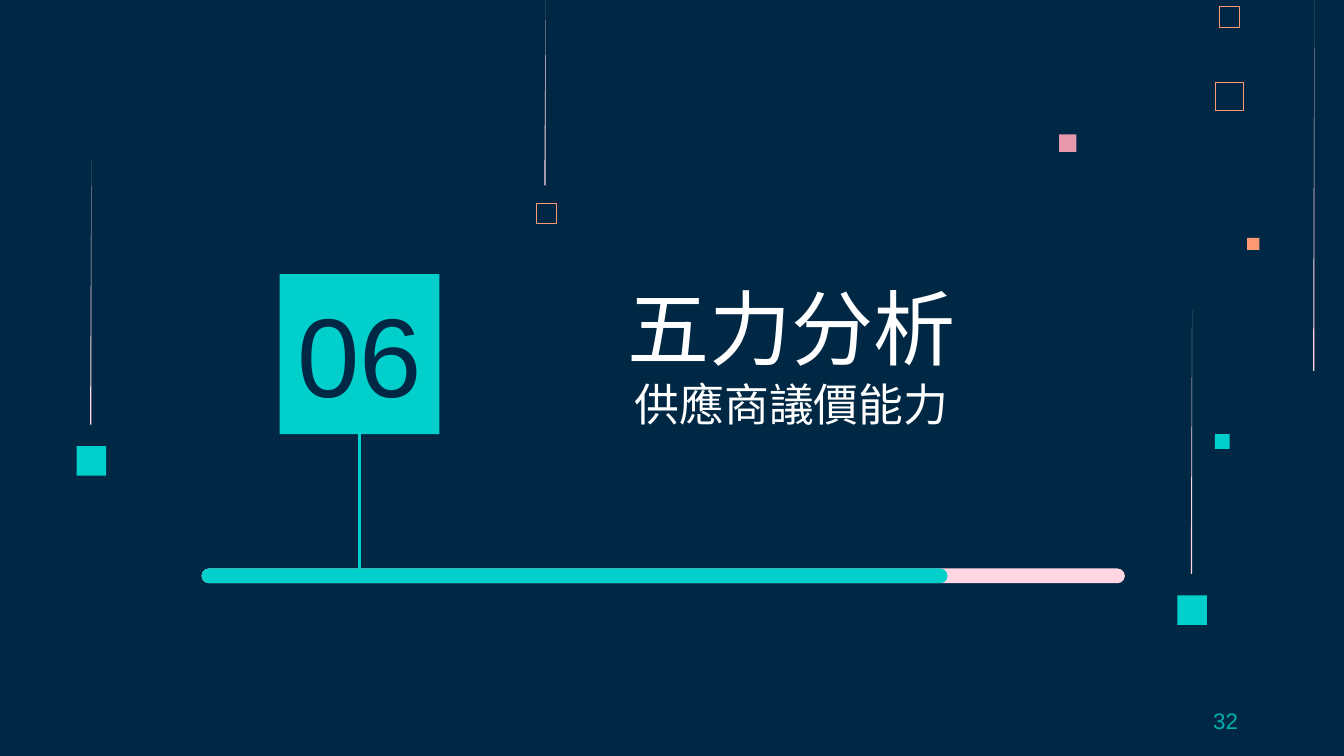
import pptx
import pptx.dml.color
import pptx.enum.shapes
import pptx.enum.text
import pptx.oxml.ns
import pptx.util
import lxml.etree

IN = pptx.util.Inches
PT = pptx.util.Pt
WIDE = 10
HIGH = WIDE * 9 / 16
NAVY, TEAL, PINK, CORAL = "002845", "00CFCC", "FFD6E1", "FF9973"
ALIGN = pptx.enum.text.PP_ALIGN
ANCHOR = pptx.enum.text.MSO_ANCHOR
KIND = pptx.enum.shapes.MSO_SHAPE


def tint(form, color):
    """Give a font, a fill or a line its colour."""
    if hasattr(form, "solid"):
        form.solid()
        form.fore_color.rgb = pptx.dml.color.RGBColor.from_string(color)
    else:
        form.color.rgb = pptx.dml.color.RGBColor.from_string(color)


def paint(shape, fill=None, line=None, width=0.32):
    shape.shadow.inherit = False
    if fill:
        tint(shape.fill, fill)
    else:
        shape.fill.background()
    if line:
        tint(shape.line, line)
        shape.line.width = PT(width)
    else:
        shape.line.fill.background()


def block(slide, left, top, wide, high, kind=KIND.RECTANGLE, **look):
    shape = slide.shapes.add_shape(
        kind, IN(left), IN(top), IN(wide), IN(high))
    paint(shape, **look)
    return shape


def streak(slide, left, top, end):
    """Draw a sliver that tapers to a point at its top."""
    path = slide.shapes.build_freeform(
        IN(left + 0.01), IN(top), scale=1.0)
    path.add_line_segments(
        [(IN(left), IN(end)), (IN(left + 0.01), IN(end))], close=True)
    paint(path.convert_to_shape(), fill=PINK)


def bar(slide, wide, color):
    shape = block(slide, 1.5, 4.23, wide, 0.11,
                  KIND.ROUNDED_RECTANGLE, fill=color)
    shape.adjustments[0] = 0.5


def place(shape, left, top, wide, high, anchor):
    shape.left, shape.top = IN(left), IN(top)
    shape.width, shape.height = IN(wide), IN(high)
    frame = shape.text_frame
    frame.word_wrap = True
    frame.auto_size = pptx.enum.text.MSO_AUTO_SIZE.NONE
    frame.vertical_anchor = anchor
    frame.margin_left = frame.margin_right = IN(0.1)
    frame.margin_top = frame.margin_bottom = IN(0.1)
    return frame.paragraphs[0]


def label(par, text, size, color, align=ALIGN.CENTER):
    par.text = text
    par.alignment = align
    par.space_before = PT(0)
    par.font.name = "Arial"
    par.font.size = PT(size)
    tint(par.font, color)


def heading(par, lines):
    """Set the lines of the heading, each in its own size."""
    par.alignment = ALIGN.CENTER
    for at, (text, size) in enumerate(lines):
        if at:
            par.add_line_break()
        run = par.add_run()
        run.text = text
        run.font.name = "Noto Sans CJK SC"
        run.font.size = PT(size)
        tint(run.font, "FFFFFF")
        east = lxml.etree.SubElement(
            run.font._element, pptx.oxml.ns.qn("a:ea"))
        east.set("typeface", "Noto Sans CJK SC")


def stem(slide, box, end):
    """Join the number box to the progress bar."""
    mid = box.left + box.width // 2
    line = slide.shapes.add_connector(
        pptx.enum.shapes.MSO_CONNECTOR.STRAIGHT,
        mid, box.top + box.height, mid, IN(end))
    line.begin_connect(box, 2)
    tint(line.line, TEAL)
    line.line.width = PT(1.5)
    lxml.etree.SubElement(
        line._element.spPr, pptx.oxml.ns.qn("a:effectLst"))


def decor(slide):
    # Solid squares
    for left, top, side, color in (
            (7.88, 1, 0.13, "E898AC"), (9.04, 3.23, 0.11, TEAL),
            (9.28, 1.77, 0.09, CORAL), (8.76, 4.43, 0.22, TEAL),
            (0.57, 3.32, 0.22, TEAL)):
        block(slide, left, top, side, side, fill=color)
    # Outlined squares
    for left, top, side, width in (
            (9.04, 0.61, 0.21, 0.45), (9.07, 0.05, 0.15, 0.32),
            (3.99, 1.51, 0.15, 0.32)):
        block(slide, left, top, side, side, line=CORAL, width=width)
    # Falling streaks
    for left, top, end in ((4.05, 0, 1.38), (9.77, 0, 2.76),
                           (8.86, 2.31, 4.27), (0.67, 1.19, 3.16)):
        streak(slide, left, top, end)


def main():
    deck = pptx.Presentation()
    deck.slide_width, deck.slide_height = IN(WIDE), IN(HIGH)
    slide = deck.slides.add_slide(deck.slide_layouts[0])
    tint(slide.background.fill, NAVY)
    decor(slide)

    # Progress bar and number box
    box = block(slide, 2.08, 2.04, 1.19, 1.19, fill=TEAL)
    bar(slide, 6.87, PINK)
    bar(slide, 5.55, TEAL)
    stem(slide, box, 4.3)

    # Heading and number, kept in front of the box
    title, number = slide.placeholders
    for shape in (title, number):
        slide.shapes._spTree.append(shape._element)
    heading(place(title, 3.47, 1.95, 4.84, 1.35, ANCHOR.BOTTOM),
            (("五力分析", 44), ("供應商議價能力", 24)))
    label(place(number, 1.98, 2.31, 1.39, 0.63, ANCHOR.MIDDLE),
          "06", 60, NAVY)

    # Page number
    page = slide.shapes.add_textbox(0, 0, 0, 0)
    label(place(page, 7.06, 5.21, 2.25, 0.3, ANCHOR.MIDDLE),
          "32", 12, "00AEAC", ALIGN.RIGHT)
    deck.save("out.pptx")


if __name__ == "__main__":
    main()
